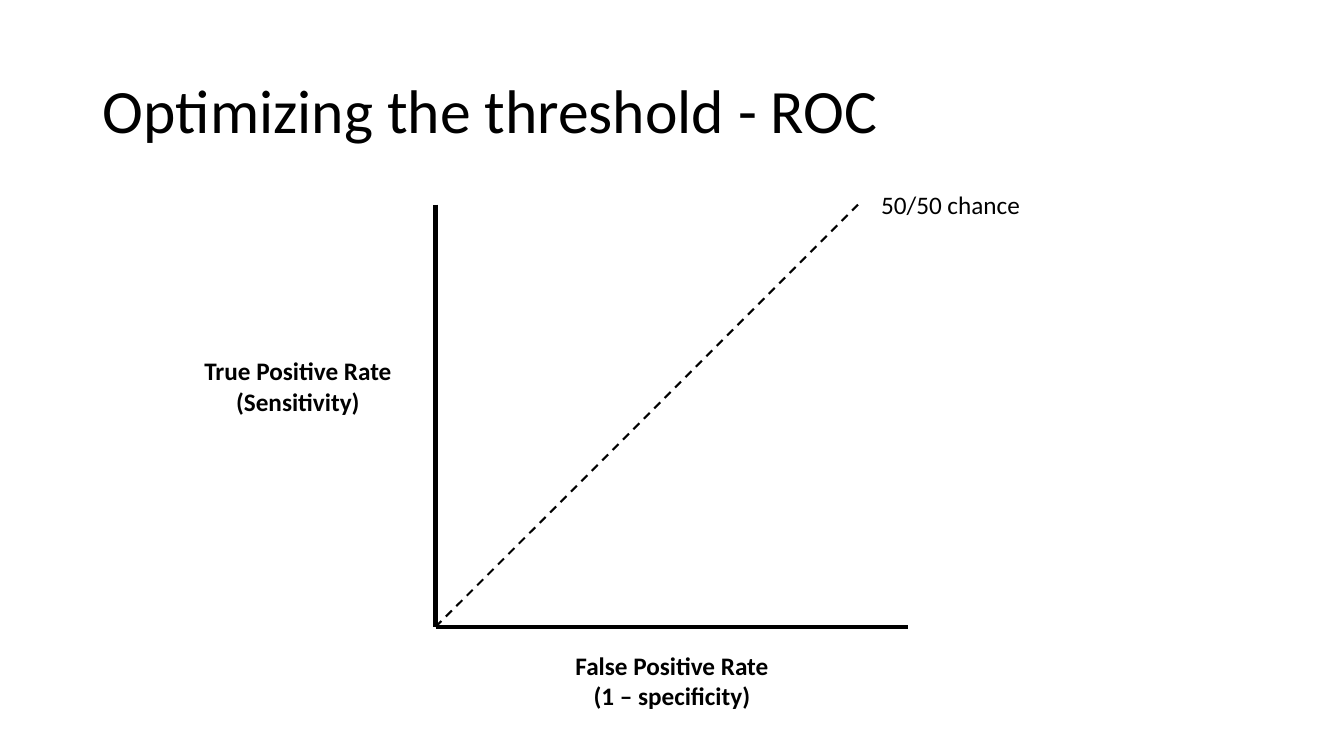
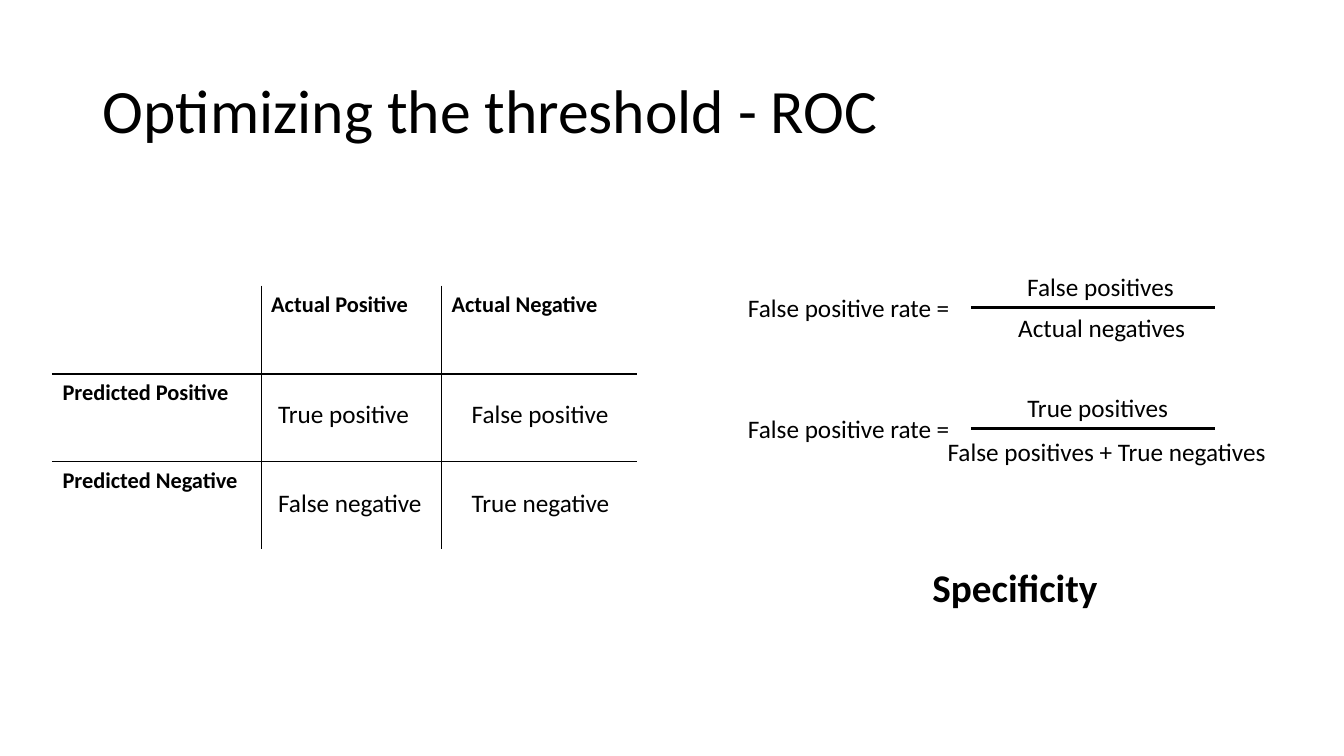
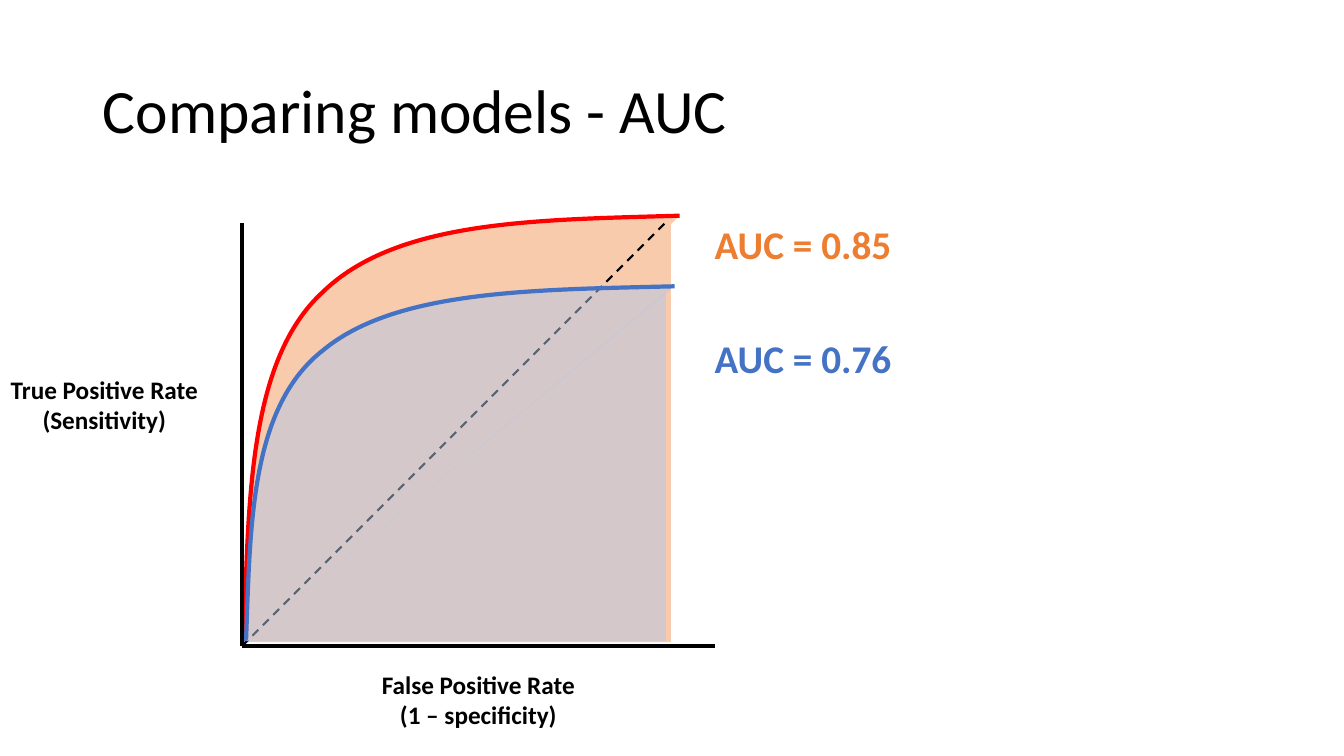
from dataclasses import dataclass
from itertools import product

from lxml import etree
from pptx import Presentation
from pptx.dml.color import RGBColor
from pptx.enum import dml, shapes, text
from pptx.oxml import ns
from pptx.util import Inches, Pt


@dataclass(frozen=True)
class Theme:
    font: str = "Calibri"
    ink: str = "000000"
    paper: str = "FFFFFF"
    strong_line: str = "FF0000"
    strong_area: str = "F8CBAD"
    strong_label: str = "ED7D31"
    weak_line: str = "4472C4"
    weak_area: str = "B4C7E7"
    title_size: float = 44
    callout_size: float = 28
    body_size: float = 18
    header_size: float = 16
    axis_width: float = 3
    bar_width: float = 2.25
    chance_width: float = 1.5
    border_width: float = 1


@dataclass(frozen=True)
class Box:
    left: float
    top: float
    width: float
    height: float

    def inside(self, dx, dy, width, height):
        return Box(self.left + dx, self.top + dy, width, height)

    def emu(self):
        return [Inches(v) for v in (self.left, self.top, self.width, self.height)]


THEME = Theme()
TITLE_BOX = Box(0.92, 0.4, 11.5, 1.45)
LABEL_HEIGHT = 0.4
AXIS_LABEL_HEIGHT = 0.71
ROC_CURVE = ((0, 1), (0.01, 0.67), (0.01, 0.34), (0.18, 0.18),
             (0.35, 0.01), (0.67, 0.01), (1, 0))


def apply(target, values):
    for name, value in values.items():
        setattr(target, name, value)


def style_paragraph(paragraph, size, color=THEME.ink, bold=False, **layout):
    apply(paragraph, layout)
    for run in paragraph.runs:
        apply(run.font, {"name": THEME.font, "size": Pt(size), "bold": bold})
        run.font.color.rgb = RGBColor.from_string(color)


def add_label(slide, box, lines, size=THEME.body_size, color=THEME.ink,
              bold=False, align=text.PP_ALIGN.LEFT):
    frame = slide.shapes.add_textbox(*box.emu()).text_frame
    frame.text = lines
    apply(frame, {"word_wrap": False, "auto_size": text.MSO_AUTO_SIZE.SHAPE_TO_FIT_TEXT})
    for paragraph in frame.paragraphs:
        style_paragraph(paragraph, size, color, bold, alignment=align)


def add_line(slide, start, end, width, dash=None):
    ends = [Inches(v) for v in (*start, *end)]
    connector = slide.shapes.add_connector(shapes.MSO_CONNECTOR.STRAIGHT, *ends)
    connector.line.color.rgb = RGBColor.from_string(THEME.ink)
    apply(connector.line, {"width": Pt(width), "dash_style": dash})
    etree.SubElement(connector._element.spPr, ns.qn("a:effectLst"))


def add_titled_slide(deck, heading):
    slide = deck.slides.add_slide(deck.slide_layouts.get_by_name("Title Only"))
    title = slide.shapes.title
    apply(title, dict(zip(("left", "top", "width", "height"), TITLE_BOX.emu())))
    frame = title.text_frame
    frame.text = heading
    apply(frame, {"vertical_anchor": text.MSO_ANCHOR.MIDDLE, "word_wrap": True,
                  "auto_size": text.MSO_AUTO_SIZE.NONE})
    style_paragraph(frame.paragraphs[0], THEME.title_size,
                    alignment=text.PP_ALIGN.LEFT, line_spacing=0.9)
    return slide


def add_roc_axes(slide, box):
    bottom = box.top + box.height
    origin = (box.left, bottom)
    add_line(slide, (box.left, box.top), origin, THEME.axis_width)
    add_line(slide, origin, (box.left + box.width, bottom), THEME.axis_width)
    for label_box, words in (
        (box.inside(1.28, box.height + 0.18, 2.13, AXIS_LABEL_HEIGHT),
         "False Positive Rate\n(1 – specificity)"),
        (box.inside(-2.4, 1.45, 2.07, AXIS_LABEL_HEIGHT),
         "True Positive Rate\n(Sensitivity)"),
    ):
        add_label(slide, label_box, words, bold=True, align=text.PP_ALIGN.CENTER)
    add_line(slide, origin, (box.left + box.height, box.top),
             THEME.chance_width, dml.MSO_LINE.DASH)


def fill_area(shape, color, opacity):
    shape.shadow.inherit = False
    shape.fill.solid()
    shape.fill.fore_color.rgb = RGBColor.from_string(color)
    if opacity < 100:
        tint = shape._element.spPr.find(ns.qn("a:solidFill"))[0]
        etree.SubElement(tint, ns.qn("a:alpha"), val=str(opacity * 1000))


def bend_segments(shape):
    segments = list(shape._element.iter(ns.qn("a:lnTo")))
    for triple in zip(segments[::3], segments[1::3], segments[2::3]):
        bend = etree.Element(ns.qn("a:cubicBezTo"))
        triple[0].addprevious(bend)
        for segment in triple:
            bend.append(segment[0])
            segment.getparent().remove(segment)


def add_auc_area(slide, box, line_color, area_color, opacity=100):
    members = slide.shapes.add_group_shape().shapes
    start, *rest = [(Inches(box.left + x * box.width), Inches(box.top + y * box.height))
                    for x, y in ROC_CURVE]
    builder = members.build_freeform(*start, scale=1.0)
    builder.add_line_segments(rest, close=False)
    curve = builder.convert_to_shape()
    bend_segments(curve)
    fill_area(curve, area_color, opacity)
    curve.line.color.rgb = RGBColor.from_string(line_color)
    curve.line.width = Pt(THEME.axis_width)

    lower_box = box.inside(0, 0.06, 0.98 * box.width, box.height - 0.06)
    lower_half = members.add_shape(shapes.MSO_SHAPE.RIGHT_TRIANGLE, *lower_box.emu())
    fill_area(lower_half, area_color, opacity)
    lower_half.line.fill.background()
    lower_half._element.spPr.find(ns.qn("a:xfrm")).set("flipH", "1")


def set_borders(cell, colors):
    properties = cell._tc.get_or_add_tcPr()
    for side, color in zip(("lnL", "lnR", "lnT", "lnB"), colors):
        edge = etree.SubElement(properties, ns.qn(f"a:{side}"), w=str(Pt(THEME.border_width)))
        solid = etree.SubElement(edge, ns.qn("a:solidFill"))
        etree.SubElement(solid, ns.qn("a:srgbClr"), val=color)


def add_confusion_matrix(slide, box):
    headings = (
        ("", "Actual Positive", "Actual Negative"),
        ("Predicted Positive", "", ""),
        ("Predicted Negative", "", ""),
    )
    matrix = slide.shapes.add_table(3, 3, *box.emu()).table
    apply(matrix, {"first_row": False, "horz_banding": False})
    for column, width in zip(matrix.columns, (2.07, 1.79, 1.93)):
        column.width = Inches(width)
    for row, col in product(range(3), repeat=2):
        cell = matrix.cell(row, col)
        if headings[row][col]:
            cell.text = headings[row][col]
            style_paragraph(cell.text_frame.paragraphs[0], THEME.header_size, bold=True)
        outer = (col == 0, col == 2, row == 0, row == 2)
        set_borders(cell, [THEME.paper if edge else THEME.ink for edge in outer])
        cell.fill.background()
    outcomes = (
        (("True positive", 1.52), ("False positive", 1.57)),
        (("False negative", 1.64), ("True negative", 1.59)),
    )
    for row, col in product(range(2), repeat=2):
        words, width = outcomes[row][col]
        add_label(slide, box.inside(2.14 + 1.92 * col, 1.06 + 0.89 * row, width, LABEL_HEIGHT),
                  words)


def add_rate_formula(slide, box, numerator, denominator):
    add_label(slide, box.inside(0, 0, 2.28, LABEL_HEIGHT), "False positive rate =")
    for words, dx, dy, width in (numerator, denominator):
        add_label(slide, box.inside(dx, dy, width, LABEL_HEIGHT), words)
    bar_y = box.top + 0.2
    add_line(slide, (box.left + 2.31, bar_y), (box.left + box.width, bar_y), THEME.bar_width)


def build_threshold_slide(deck):
    slide = add_titled_slide(deck, "Optimizing the threshold - ROC")
    plot = Box(4.32, 2.03, 4.69, 4.19)
    add_roc_axes(slide, plot)
    add_label(slide, plot.inside(4.32, -0.2, 1.63, LABEL_HEIGHT), "50/50 chance")


def build_specificity_slide(deck):
    slide = add_titled_slide(deck, "Optimizing the threshold - ROC")
    add_confusion_matrix(slide, Box(0.52, 2.84, 5.79, 2.61))
    formulas = (
        (("False positives", 2.77, -0.21, 1.67), ("Actual negatives", 2.68, 0.2, 1.88)),
        (("True positives", 2.77, -0.21, 1.61),
         ("False positives + True negatives", 1.98, 0.23, 3.4)),
    )
    for index, (numerator, denominator) in enumerate(formulas):
        add_rate_formula(slide, Box(7.32, 2.85 + 1.2 * index, 4.73, 0.8),
                         numerator, denominator)
    add_label(slide, Box(9.15, 5.54, 1.86, 0.57), "Specificity",
              THEME.callout_size, bold=True)


def build_auc_slide(deck):
    slide = add_titled_slide(deck, "Comparing models - AUC")
    plot = Box(2.4, 2.21, 4.69, 4.2)
    add_auc_area(slide, plot.inside(0.02, -0.07, 4.32, 4.23),
                 THEME.strong_line, THEME.strong_area)
    add_roc_axes(slide, plot)
    add_auc_area(slide, plot.inside(0.04, 0.63, 4.25, 3.52),
                 THEME.weak_line, THEME.weak_area, opacity=50)
    for dy, score, color in ((-0.07, "AUC = 0.85", THEME.strong_label),
                             (1.06, "AUC = 0.76", THEME.weak_line)):
        add_label(slide, plot.inside(4.59, dy, 1.98, 0.57), score,
                  THEME.callout_size, color, bold=True)


def main():
    deck = Presentation()
    apply(deck, {"slide_width": Inches(13.33), "slide_height": Inches(7.5)})
    for build in (build_threshold_slide, build_specificity_slide, build_auc_slide):
        build(deck)
    deck.save("out.pptx")


if __name__ == "__main__":
    main()
